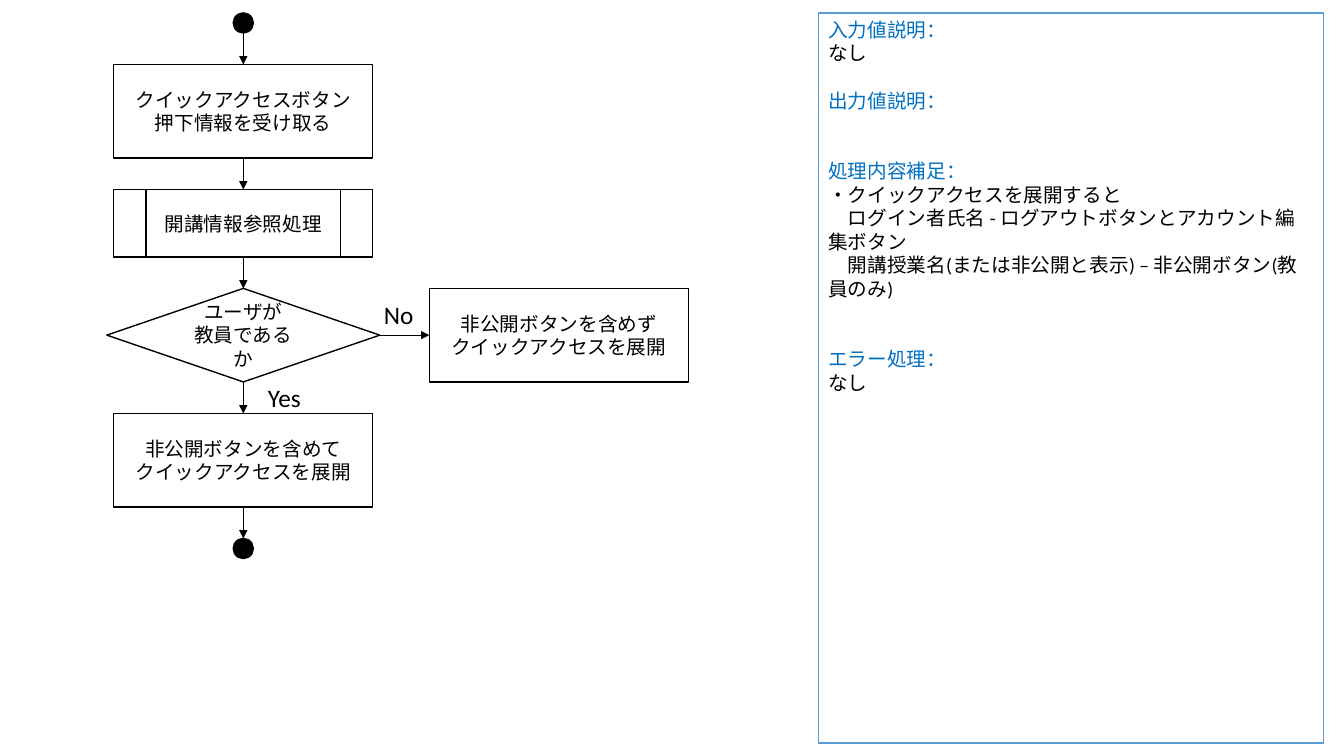
from pptx import Presentation
from pptx.dml.color import RGBColor
from pptx.enum.shapes import MSO_CONNECTOR, MSO_SHAPE
from pptx.enum.text import MSO_ANCHOR, PP_ALIGN
from pptx.oxml.ns import qn
from pptx.util import Pt
from lxml import etree

DOT, PROCESS = MSO_SHAPE.OVAL, MSO_SHAPE.FLOWCHART_PROCESS
SUBPROCESS, DECISION = MSO_SHAPE.FLOWCHART_PREDEFINED_PROCESS, MSO_SHAPE.FLOWCHART_DECISION
STRAIGHT = MSO_CONNECTOR.STRAIGHT
LEFT, CENTER = PP_ALIGN.LEFT, PP_ALIGN.CENTER
TOP, MIDDLE = MSO_ANCHOR.TOP, MSO_ANCHOR.MIDDLE

# Content: main flow from top to bottom
FLOW = [
    (DOT, []),
    (PROCESS, ["クイックアクセスボタン", "押下情報を受け取る"]),
    (SUBPROCESS, ["開講情報参照処理"]),
    (DECISION, ["ユーザが", "教員であるか"]),
    (PROCESS, ["非公開ボタンを含めて", "クイックアクセスを展開"]),
    (DOT, []),
]
NO_BRANCH = ["非公開ボタンを含めず", "クイックアクセスを展開"]

# Notes: heading, blank lines above it, body lines as (text, indented)
NOTES = [
    ("入力値説明：", 0, [("なし", False)]),
    ("出力値説明：", 1, []),
    ("処理内容補足：", 2, [
        ("・クイックアクセスを展開すると", False),
        ("ログイン者氏名 - ログアウトボタンとアカウント編集ボタン", True),
        ("開講授業名(または非公開と表示) – 非公開ボタン(教員のみ)", True)]),
    ("エラー処理：", 2, [("なし", False)]),
]


class Theme:
    font = "Calibri"
    body, label = 14, 18
    line_height = 16.8
    border, arrow = 1, 0.5
    black, white = RGBColor(0, 0, 0), RGBColor(255, 255, 255)
    heading, panel = RGBColor(0x00, 0x70, 0xC0), RGBColor(0x5B, 0x9B, 0xD5)


# Layout in points
SIZES = {DOT: (14.4, 14.4), PROCESS: (185, 66.8),
         SUBPROCESS: (185, 48.1), DECISION: (195, 66.8)}
AXIS, FLOW_TOP, GAP = 173.8, 9.2, 22.5
BRANCH_LEFT = 306.7
PANEL = (584.6, 9.2, 360.7, 521.4)
LABEL_SIZE = (44.6, 28.8)

prs = Presentation()
prs.slide_width, prs.slide_height = Pt(960), Pt(540)
s = prs.slides.add_slide(prs.slide_layouts[6])


def write(tf, text, first, size=Theme.body, color=Theme.black, align=LEFT):
    p = tf.paragraphs[0] if first else tf.add_paragraph()
    p.text, p.alignment = text, align
    p.font.name, p.font.size = Theme.font, Pt(size)
    p.font.color.rgb = color
    return p


def add_box(kind, x, y, w, h, lines=(), fill=Theme.white, line=Theme.black, anchor=MIDDLE):
    sp = s.shapes.add_shape(kind, Pt(x), Pt(y), Pt(w), Pt(h))
    sp.shadow.inherit = False
    sp.fill.solid()
    sp.fill.fore_color.rgb = fill
    sp.line.color.rgb, sp.line.width = line, Pt(Theme.border)
    tf = sp.text_frame
    tf.word_wrap, tf.vertical_anchor = True, anchor
    for i, text in enumerate(lines):
        write(tf, text, i == 0, align=CENTER)
    return tf


def add_arrow(x1, y1, x2, y2):
    c = s.shapes.add_connector(STRAIGHT, Pt(x1), Pt(y1), Pt(x2), Pt(y2))
    c.line.color.rgb, c.line.width = Theme.black, Pt(Theme.arrow)
    etree.SubElement(c.line._get_or_add_ln(), qn("a:tailEnd"), type="triangle")
    etree.SubElement(c._element.spPr, qn("a:effectLst"))


def add_label(text, x, y):
    w, h = LABEL_SIZE
    tf = s.shapes.add_textbox(Pt(x), Pt(y), Pt(w), Pt(h)).text_frame
    tf.word_wrap = True
    write(tf, text, True, Theme.label)


# Main flow, with an arrow into every step but the first
y = FLOW_TOP
for i, (kind, lines) in enumerate(FLOW):
    w, h = SIZES[kind]
    if i:
        add_arrow(AXIS, y, AXIS, y + GAP)
        y += GAP
    add_box(kind, AXIS - w / 2, y, w, h, lines,
            fill=Theme.black if kind == DOT else Theme.white)
    if kind == DECISION:
        decision_right, decision_top, decision_bottom = AXIS + w / 2, y, y + h
    y += h

# Branch to the right of the decision
w, h = SIZES[PROCESS]
branch_y = decision_top + h / 2
add_box(PROCESS, BRANCH_LEFT, decision_top, w, h, NO_BRANCH)
add_arrow(decision_right, branch_y, BRANCH_LEFT, branch_y)
add_label("Yes", AXIS + 10.5, decision_bottom - 3.5)
add_label("No", decision_right - 4.2, branch_y - LABEL_SIZE[1])

# Notes panel
tf = add_box(PROCESS, *PANEL, line=Theme.panel, anchor=TOP)
for i, (heading, blanks, body) in enumerate(NOTES):
    p = write(tf, heading, i == 0, color=Theme.heading)
    p.space_before = Pt(blanks * Theme.line_height)
    for text, indented in body:
        p = write(tf, text, False)
        if indented:
            pPr = p._p.get_or_add_pPr()
            pPr.set("marL", "0")
            pPr.set("indent", str(Pt(Theme.body)))

prs.save("out.pptx")
